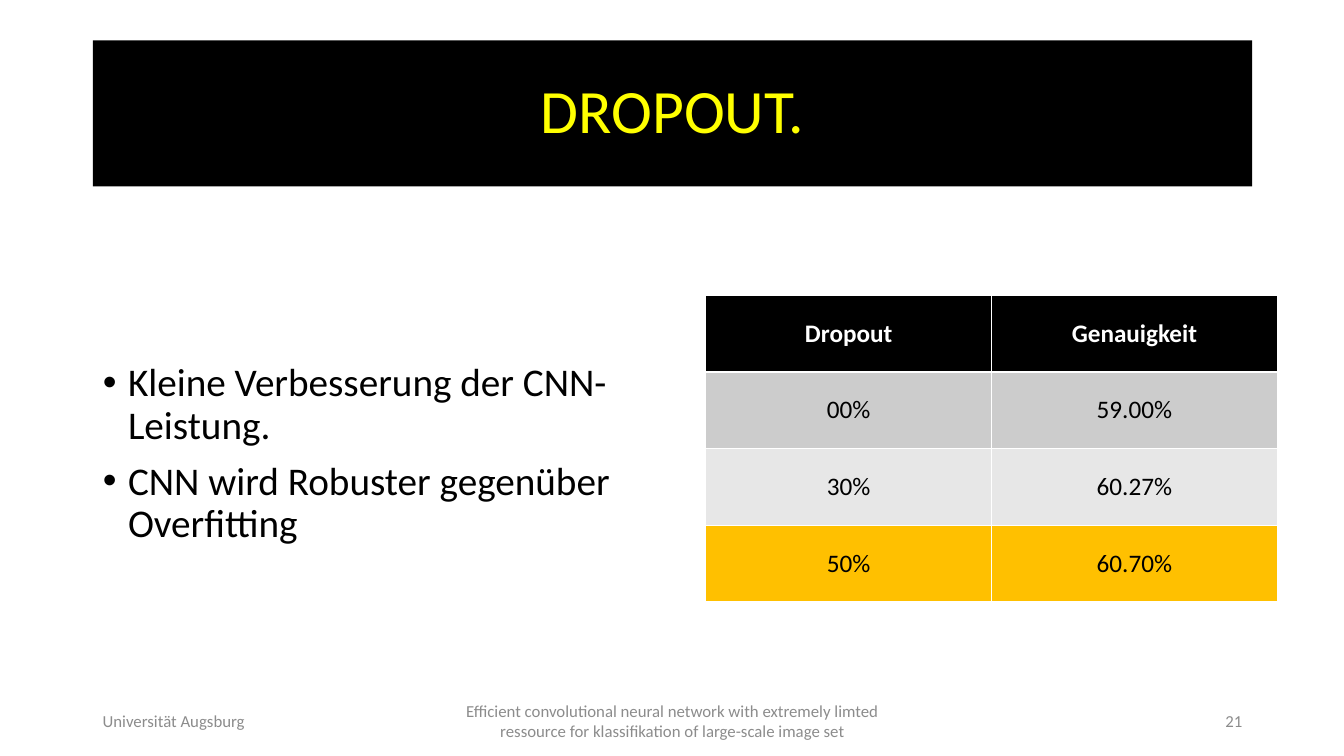
from dataclasses import dataclass

from pptx import Presentation
from pptx.dml.color import RGBColor
from pptx.enum.text import MSO_ANCHOR, MSO_AUTO_SIZE, PP_ALIGN
from pptx.util import Inches, Pt

LEFT, CENTER, RIGHT = PP_ALIGN.LEFT, PP_ALIGN.CENTER, PP_ALIGN.RIGHT
MIDDLE = MSO_ANCHOR.MIDDLE
NO_AUTOFIT = MSO_AUTO_SIZE.NONE

TITLE = "DROPOUT."
BULLETS = [
    "Kleine Verbesserung der CNN-Leistung.",
    "CNN wird Robuster gegenüber Overfitting",
]
TABLE = [
    ("Dropout", "Genauigkeit"),
    ("00%", "59.00%"),
    ("30%", "60.27%"),
    ("50%", "60.70%"),
]
FOOTERS = [
    ("Universität Augsburg", 0.92, 3, LEFT),
    ("Efficient convolutional neural network with extremely limted "
     "ressource for klassifikation of large-scale image set", 4.42, 4.5, CENTER),
    ("21", 9.42, 3, RIGHT),
]


@dataclass(frozen=True)
class Theme:
    font: str = "Calibri"
    black: str = "000000"
    white: str = "FFFFFF"
    title: str = "FFFF00"
    footer: str = "8C8C8C"
    rows: tuple = ("000000", "CCCCCC", "E7E7E7", "FFC000")
    title_size: int = 44
    body_size: int = 28
    table_size: int = 18
    footer_size: int = 12


THEME = Theme()


def place(sp, left, top, width, height):
    sp.left, sp.top = Inches(left), Inches(top)
    sp.width, sp.height = Inches(width), Inches(height)


def fill_solid(target, color):
    target.fill.solid()
    target.fill.fore_color.rgb = RGBColor.from_string(color)


def style(p, size, color, align=LEFT, bold=False):
    p.alignment = align
    p.font.name = THEME.font
    p.font.size = Pt(size)
    p.font.bold = bold
    p.font.color.rgb = RGBColor.from_string(color)


def set_frame(tf):
    tf.word_wrap = True
    tf.auto_size = NO_AUTOFIT
    tf.vertical_anchor = MIDDLE


def add_title(s):
    sp = s.shapes.title
    place(sp, 0.92, 0.4, 11.5, 1.45)
    fill_solid(sp, THEME.black)
    set_frame(sp.text_frame)
    sp.text_frame.text = TITLE
    p = sp.text_frame.paragraphs[0]
    style(p, THEME.title_size, THEME.title, CENTER)
    p.line_spacing = 0.9


def add_bullets(s):
    sp = s.placeholders[1]
    place(sp, 0.92, 2.93, 5.67, 3.16)
    tf = sp.text_frame
    set_frame(tf)
    tf.text = "\n".join(BULLETS)
    for p in tf.paragraphs:
        style(p, THEME.body_size, THEME.black)
        p.line_spacing = 0.9
        p.space_before = Pt(10)
        pPr = p._p.get_or_add_pPr()
        pPr.set("marL", str(Inches(0.25)))
        pPr.set("indent", str(Inches(-0.25)))


def add_results(s):
    frame = s.shapes.add_table(len(TABLE), len(TABLE[0]), Inches(7), Inches(2.93),
                               Inches(5.67), Inches(3.04))
    for i, (values, fill) in enumerate(zip(TABLE, THEME.rows)):
        header = i == 0
        for cell, value in zip(frame.table.rows[i].cells, values):
            cell.text = value
            cell.vertical_anchor = MIDDLE
            fill_solid(cell, fill)
            style(cell.text_frame.paragraphs[0], THEME.table_size,
                  THEME.white if header else THEME.black, CENTER, header)


def add_footers(s):
    for text, left, width, align in FOOTERS:
        sp = s.shapes.add_textbox(Inches(left), Inches(6.95), Inches(width), Inches(0.4))
        set_frame(sp.text_frame)
        sp.text_frame.text = text
        style(sp.text_frame.paragraphs[0], THEME.footer_size, THEME.footer, align)


def main():
    prs = Presentation()
    prs.slide_width, prs.slide_height = Inches(13.33), Inches(7.5)
    s = prs.slides.add_slide(prs.slide_layouts[1])
    add_title(s)
    add_bullets(s)
    add_results(s)
    add_footers(s)
    prs.save("out.pptx")


if __name__ == "__main__":
    main()
